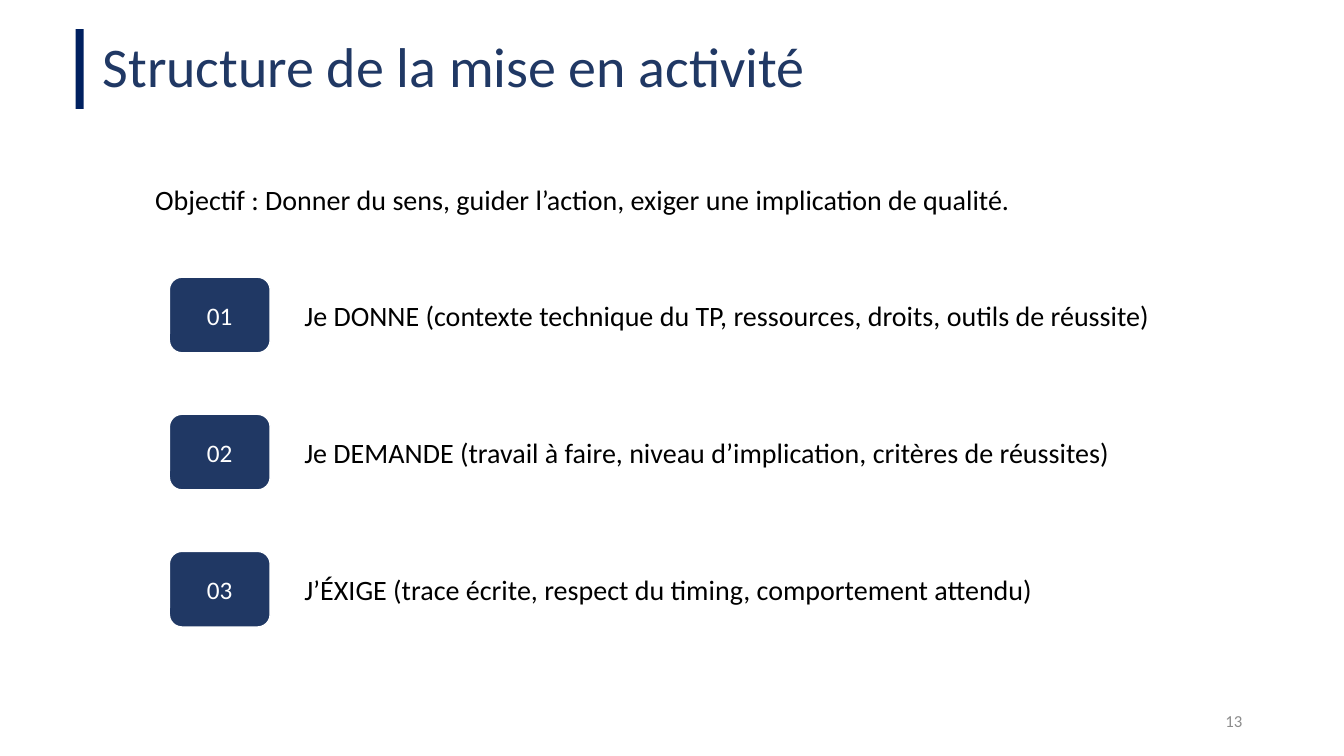
from pptx import Presentation
from pptx.dml.color import RGBColor
from pptx.enum.shapes import MSO_SHAPE
from pptx.enum.text import MSO_ANCHOR, PP_ALIGN
from pptx.util import Inches, Pt

NAVY = "203864"
STEPS = [
    ("Je DONNE (contexte technique du TP, ressources, droits, outils de réussite)", 8.89),
    ("Je DEMANDE (travail à faire, niveau d’implication, critères de réussites)", 8.54),
    ("J’ÉXIGE (trace écrite, respect du timing, comportement attendu)", 7.5),
]
FIRST_STEP_TOP = 2.75
STEP_PITCH = 1.36
LABEL_OFFSET = 0.16


def color(value):
    return RGBColor.from_string(value)


def write(frame, text, size=20, fill="000000", font="Calibri",
          align=PP_ALIGN.LEFT, spacing=1.0):
    frame.word_wrap = True
    frame.vertical_anchor = MSO_ANCHOR.MIDDLE
    para = frame.paragraphs[0]
    para.alignment = align
    para.line_spacing = spacing
    span = para.add_run()
    span.text = text
    span.font.name = font
    span.font.size = Pt(size)
    span.font.color.rgb = color(fill)


class StepsPage:
    def __init__(self, page):
        self.page = page

    def text(self, left, top, width, height, text, **style):
        box = self.page.shapes.add_textbox(
            Inches(left), Inches(top), Inches(width), Inches(height))
        write(box.text_frame, text, **style)

    def block(self, kind, left, top, width, height, fill, outline=None):
        shape = self.page.shapes.add_shape(
            kind, Inches(left), Inches(top), Inches(width), Inches(height))
        shape.shadow.inherit = False
        shape.fill.solid()
        shape.fill.fore_color.rgb = color(fill)
        if outline:
            shape.line.color.rgb = color(outline)
            shape.line.width = Pt(1)
        else:
            shape.line.fill.background()
        return shape

    def step(self, index, label, label_width):
        """Add a numbered badge with its label on the right."""
        top = FIRST_STEP_TOP + index * STEP_PITCH
        badge = self.block(MSO_SHAPE.ROUNDED_RECTANGLE, 1.68, top, 1, 0.75,
                           NAVY, outline="FFFFFF")
        write(badge.text_frame, f"{index + 1:02d}", size=18, fill="FFFFFF",
              align=PP_ALIGN.CENTER)
        self.text(2.92, top + LABEL_OFFSET, label_width, 0.44, label)


def main():
    deck = Presentation()
    deck.slide_width = Inches(13.33)
    deck.slide_height = Inches(7.5)
    steps_page = StepsPage(deck.slides.add_slide(deck.slide_layouts[6]))

    steps_page.text(0.92, 0.29, 11.5, 0.79, "Structure de la mise en activité",
                    size=40, fill=NAVY, spacing=0.9)
    steps_page.block(MSO_SHAPE.RECTANGLE, 0.75, 0.29, 0.08, 0.79, "002060")
    steps_page.text(
        1.44, 1.81, 11.5, 0.4,
        "Objectif : Donner du sens, guider l’action, exiger une implication de qualité.",
        spacing=0.8)
    for index, (label, label_width) in enumerate(STEPS):
        steps_page.step(index, label, label_width)
    steps_page.text(9.42, 6.95, 3, 0.4, "13", size=12, fill="8C8C8C",
                    align=PP_ALIGN.RIGHT)

    deck.save("out.pptx")


if __name__ == "__main__":
    main()
